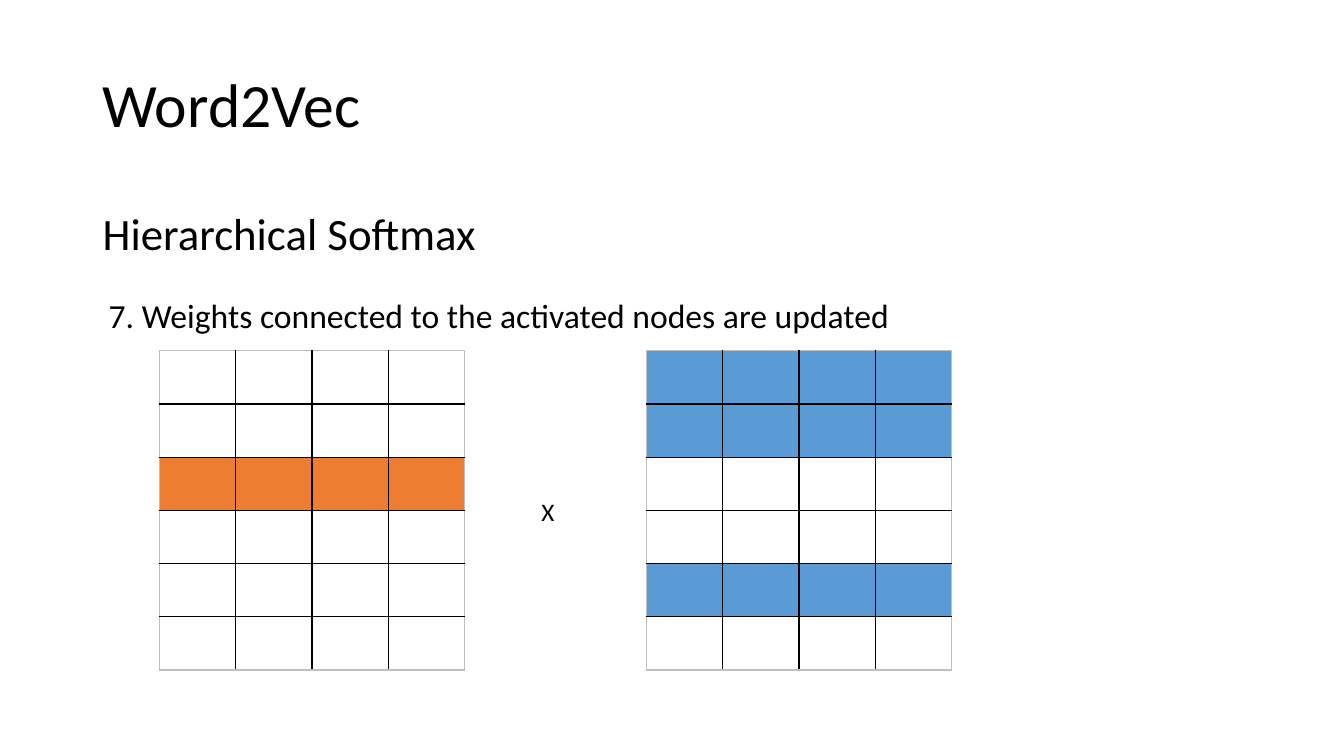
from lxml import etree
from pptx import Presentation
from pptx.dml.color import RGBColor
from pptx.enum.text import MSO_ANCHOR
from pptx.oxml.ns import qn
from pptx.util import Inches, Pt

BLACK = RGBColor(0x00, 0x00, 0x00)
GRAY = RGBColor(0xBF, 0xBF, 0xBF)
ORANGE = RGBColor(0xED, 0x7D, 0x31)
BLUE = RGBColor(0x5B, 0x9B, 0xD5)
TOP = MSO_ANCHOR.TOP
MIDDLE = MSO_ANCHOR.MIDDLE
ROWS, COLUMNS = 6, 4


def add_border(cell, side, color):
    line = etree.Element(qn("a:" + side), w=str(Pt(1)))
    fill = etree.SubElement(line, qn("a:solidFill"))
    etree.SubElement(fill, qn("a:srgbClr"), val=str(color))
    cell._tc.get_or_add_tcPr().append(line)


presentation = Presentation()
presentation.slide_width = Inches(13.33)
presentation.slide_height = Inches(7.5)
slide = presentation.slides.add_slide(presentation.slide_layouts[6])

# Title, heading, step and multiplication sign
texts = [
    ("Word2Vec", 0.92, 0.3, 11.5, 1.45, 44, MIDDLE, True),
    ("Hierarchical Softmax", 0.92, 1.99, 11.5, 4.76, 32, TOP, True),
    ("7. Weights connected to the activated nodes are updated",
     0.98, 2.88, 8.01, 0.5, 24, TOP, False),
    ("X", 5.27, 4.87, 0.32, 0.4, 18, TOP, False),
]
for text, left, top, width, height, size, anchor, wrap in texts:
    box = slide.shapes.add_textbox(
        Inches(left), Inches(top), Inches(width), Inches(height))
    frame = box.text_frame
    frame.text = text
    frame.word_wrap = wrap
    frame.vertical_anchor = anchor
    font = frame.paragraphs[0].runs[0].font
    font.name = "Calibri"
    font.size = Pt(size)
    font.color.rgb = BLACK

# Weight matrices with the updated rows filled
matrices = [(1.58, ORANGE, {2}), (6.41, BLUE, {0, 1, 4})]
for left, color, updated_rows in matrices:
    table = slide.shapes.add_table(
        ROWS, COLUMNS, Inches(left), Inches(3.48),
        Inches(3.03), Inches(3.17)).table
    table.first_row = False
    table.horz_banding = False
    for row in range(ROWS):
        for column in range(COLUMNS):
            cell = table.cell(row, column)
            # Outer edges are gray, inner grid lines are black
            edges = [("lnL", column == 0), ("lnR", column == COLUMNS - 1),
                     ("lnT", row == 0), ("lnB", row == ROWS - 1)]
            for side, is_outer in edges:
                add_border(cell, side, GRAY if is_outer else BLACK)
            if row in updated_rows:
                cell.fill.solid()
                cell.fill.fore_color.rgb = color
            else:
                cell.fill.background()

presentation.save("out.pptx")
